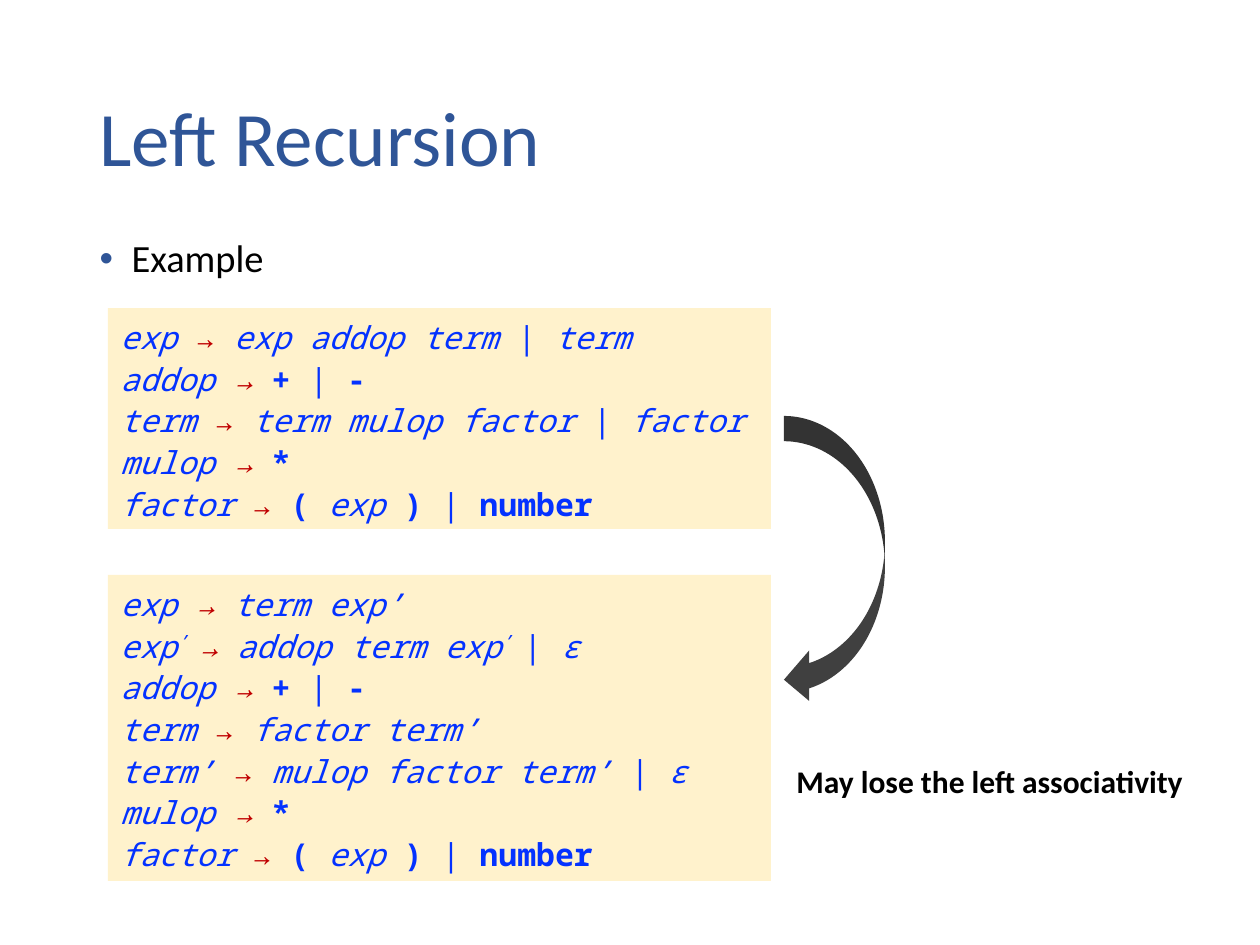
from lxml.etree import SubElement
from pptx import Presentation
from pptx.dml.color import RGBColor
from pptx.enum.shapes import MSO_SHAPE
from pptx.enum.text import MSO_ANCHOR, MSO_AUTO_SIZE, PP_ALIGN
from pptx.oxml.ns import qn
from pptx.util import Emu, Pt

PX_PER_INCH = 126
NAVY, BLACK, BLUE, RED = "2F5597", "000000", "0432FF", "C00000"
CREAM, GRAY = "FFF2CC", "404040"
SANS, MONO = "Calibri", "Noto Sans Mono"

ADDOP = [("addop ", "i"), ("→ ", "ri"), ("+ ", "b"), ("| ", ""), ("-", "b")]
MULOP = [("mulop ", "i"), ("→ ", "ri"), ("*", "b")]
FACTOR = [("factor ", "i"), ("→ ", "r"), ("(", "b"), (" exp ", "i"),
          (") ", "b"), ("| ", ""), ("number", "b")]
LEFT_RECURSIVE = [
    [("exp ", "i"), ("→ ", "r"), ("exp addop term ", "i"), ("| ", ""), ("term", "i")],
    ADDOP,
    [("term ", "i"), ("→ ", "r"), ("term mulop factor ", "i"), ("| ", ""), ("factor", "i")],
    MULOP,
    FACTOR,
]
REWRITTEN = [
    [("exp ", "i"), ("→", "ri"), (" term exp’", "i")],
    [("exp", "i"), ("’ ", "is"), ("→", "ri"), (" addop term exp", "i"),
     ("’ ", "is"), ("|", ""), (" ε", "i")],
    ADDOP,
    [("term ", "i"), ("→ ", "r"), ("factor term’", "i")],
    [("term’ ", "i"), ("→ ", "r"), ("mulop factor term’ ", "i"), ("|", ""), (" ε", "i")],
    MULOP,
    FACTOR,
]


def px(n):
    """Turn slide pixels into EMU."""
    return Emu(round(n * 914400 / PX_PER_INCH))


def rgb(color):
    """Turn a hex string into a colour."""
    return RGBColor.from_string(color)


def add_run(p, text, size, font, color, bold=False, italic=False):
    """Append one formatted run to a paragraph."""
    r = p.add_run()
    r.text = text
    r.font.size, r.font.name = Pt(size), font
    r.font.bold, r.font.italic = bold, italic
    r.font.color.rgb = rgb(color)
    return r


def fill_placeholder(sp, box, text, size, color, anchor):
    """Place a placeholder and give it one left-aligned paragraph."""
    sp.left, sp.top, sp.width, sp.height = map(px, box)
    tf = sp.text_frame
    tf.auto_size, tf.vertical_anchor = MSO_AUTO_SIZE.NONE, anchor
    p = tf.paragraphs[0]
    p.alignment, p.line_spacing, p.space_before = PP_ALIGN.LEFT, 0.9, Pt(0)
    add_run(p, text, size, SANS, color)
    return p


def set_bullet(p, indent, color):
    """Give a paragraph a coloured round bullet with a hanging indent."""
    pPr = p._p.get_or_add_pPr()
    pPr.set("marL", str(px(indent)))
    pPr.set("indent", str(-px(indent)))
    SubElement(SubElement(pPr, qn("a:buClr")), qn("a:srgbClr")).set("val", color)
    SubElement(pPr, qn("a:buFont")).set("typeface", "Arial")
    SubElement(pPr, qn("a:buChar")).set("char", "•")


def add_filled_shape(s, kind, box, color):
    """Draw a preset shape with a plain fill and no outline."""
    sp = s.shapes.add_shape(kind, *map(px, box))
    sp.shadow.inherit = False
    sp.fill.solid()
    sp.fill.fore_color.rgb = rgb(color)
    sp.line.fill.background()


def add_grammar(s, box, rules):
    """Draw a panel and write one grammar rule per line on it."""
    add_filled_shape(s, MSO_SHAPE.RECTANGLE, box, CREAM)
    tf = s.shapes.add_textbox(*map(px, box)).text_frame
    tf.word_wrap = True
    for i, rule in enumerate(rules):
        p = tf.add_paragraph() if i else tf.paragraphs[0]
        p.line_spacing = Pt(23.8)
        for text, style in rule:
            color = RED if "r" in style else BLUE
            r = add_run(p, text, 18, MONO, color, "b" in style, "i" in style)
            if "s" in style:
                r._r.get_or_add_rPr().set("baseline", "30000")


def add_note(s, box, text):
    """Add a one-line bold remark."""
    tf = s.shapes.add_textbox(*map(px, box)).text_frame
    tf.word_wrap = False
    add_run(tf.paragraphs[0], text, 18, SANS, BLACK, bold=True)


def main():
    """Build the slide and save it."""
    prs = Presentation()
    prs.slide_width, prs.slide_height = px(1260), px(945)
    s = prs.slides.add_slide(prs.slide_layouts[1])
    title, body = s.placeholders
    fill_placeholder(title, (87, 50, 1086, 183), "Left Recursion", 44, NAVY, MSO_ANCHOR.MIDDLE)
    p = fill_placeholder(body, (87, 233, 1173, 73), "Example", 22, BLACK, MSO_ANCHOR.TOP)
    set_bullet(p, 32, NAVY)
    add_grammar(s, (108, 575, 663, 306), REWRITTEN)
    add_grammar(s, (108, 308, 663, 221), LEFT_RECURSIVE)
    add_filled_shape(s, MSO_SHAPE.CURVED_LEFT_ARROW, (784, 416, 101, 289), GRAY)
    add_note(s, (784, 756, 416, 50), "May lose the left associativity")
    prs.save("out.pptx")


if __name__ == "__main__":
    main()
